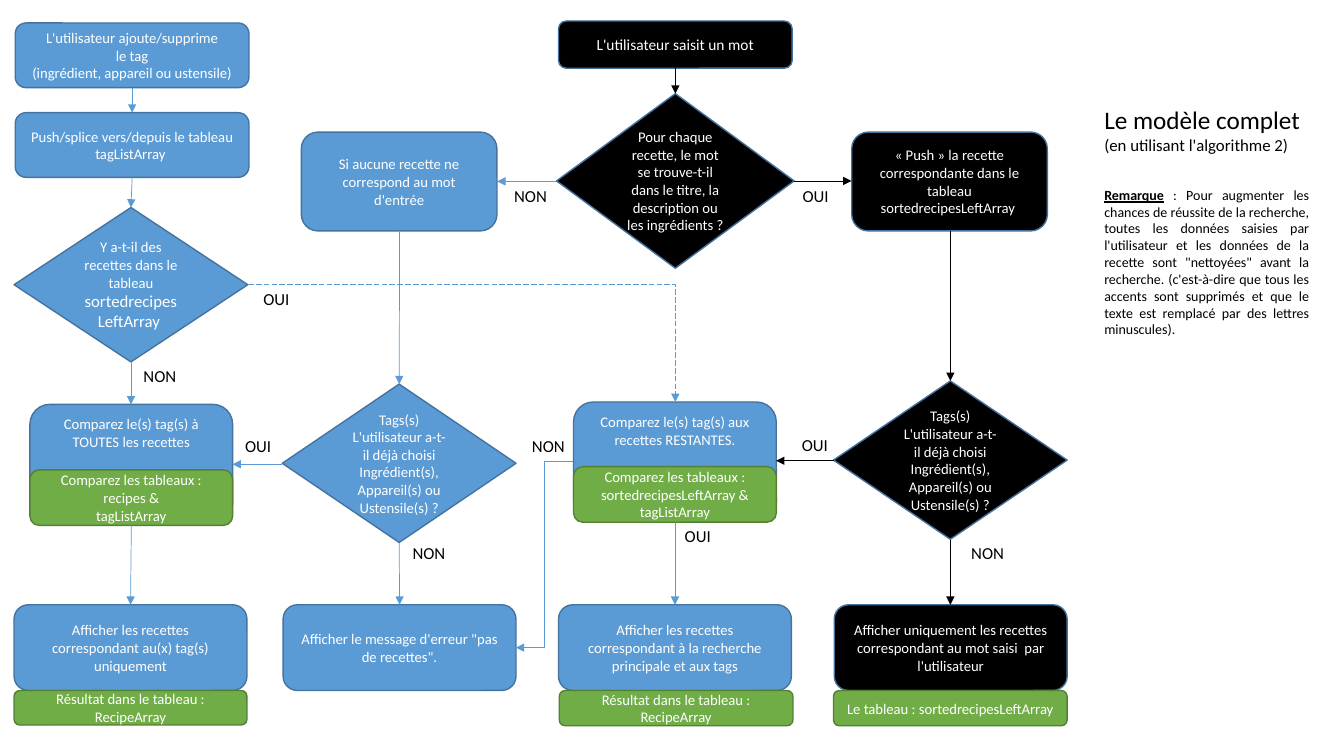
from lxml import etree
from pptx import Presentation
from pptx.dml.color import RGBColor
from pptx.enum.dml import MSO_LINE
from pptx.enum.shapes import MSO_CONNECTOR, MSO_SHAPE
from pptx.enum.text import MSO_ANCHOR, PP_ALIGN
from pptx.oxml.ns import qn
from pptx.util import Cm, Pt

ROUND, DIAMOND = MSO_SHAPE.ROUNDED_RECTANGLE, MSO_SHAPE.DIAMOND
STRAIGHT, ELBOW = MSO_CONNECTOR.STRAIGHT, MSO_CONNECTOR.ELBOW
TOP, MIDDLE = MSO_ANCHOR.TOP, MSO_ANCHOR.MIDDLE
LEFT, CENTER, JUSTIFY = PP_ALIGN.LEFT, PP_ALIGN.CENTER, PP_ALIGN.JUSTIFY
DASH = MSO_LINE.LONG_DASH

COLORS = {
    "black": "000000", "white": "FFFFFF", "blue": "5B9BD5",
    "navy": "43739E", "green": "70AD47", "forest": "538035",
}
BORDERS = {"black": "navy", "blue": "navy", "green": "forest"}


def color(name):
    return RGBColor.from_string(COLORS[name])


def write(box, paragraphs, ink, align=CENTER, anchor=MIDDLE, wrap=True):
    """Fill a box with paragraphs, each a list of (text, font values)."""
    frame = box.text_frame
    frame.word_wrap = wrap
    frame.vertical_anchor = anchor
    for index, spans in enumerate(paragraphs):
        para = frame.paragraphs[0] if index == 0 else frame.add_paragraph()
        para.alignment = align
        for text, values in spans:
            span = para.add_run()
            span.text = text
            span.font.color.rgb = color(ink)
            for name, value in {"name": "Calibri", "size": Pt(10.5), **values}.items():
                setattr(span.font, name, value)


deck = Presentation()
deck.slide_width, deck.slide_height = Cm(33.87), Cm(19.05)
page = deck.slides.add_slide(deck.slide_layouts[6])

# Flowchart nodes: shape, fill, centre x, top, width, height, anchor, paragraphs
tag_question = ["Tags(s)", "L'utilisateur a-t-il déjà choisi",
                "Ingrédient(s), Appareil(s) ou Ustensile(s) ?"]
result_array = ["Résultat dans le tableau : RecipeArray"]
nodes = [
    # Tag column
    (ROUND, "blue", 3.33, 0.58, 5.89, 1.63, MIDDLE,
     ["L'utilisateur ajoute/supprime", "le tag", "(ingrédient, appareil ou ustensile)"]),
    (ROUND, "blue", 3.33, 2.84, 5.89, 1.63, MIDDLE,
     ["Push/splice vers/depuis le tableau tagListArray "]),
    (DIAMOND, "blue", 3.3, 5.23, 5.89, 3.89, MIDDLE,
     [[("Y a-t-il des recettes dans le tableau ", {}),
       ("sortedrecipesLeftArray ", {"size": Pt(12)})]]),
    (ROUND, "blue", 3.31, 10.19, 5.11, 3, TOP,
     ["Comparez le(s) tag(s) à TOUTES les recettes"]),
    (ROUND, "green", 3.31, 11.84, 5.11, 1.4, MIDDLE,
     ["Comparez les tableaux : recipes &", "tagListArray"]),
    (ROUND, "blue", 3.29, 15.24, 5.87, 2.16, MIDDLE,
     ["Afficher les recettes correspondant au(x) tag(s) uniquement"]),
    (ROUND, "green", 3.29, 17.4, 5.87, 0.87, MIDDLE, result_array),
    # No matching recipe column
    (ROUND, "blue", 10.06, 3.33, 4.93, 2.49, MIDDLE,
     ["Si aucune recette ne correspond au mot d'entrée"]),
    (DIAMOND, "blue", 10.06, 9.68, 5.89, 3.99, MIDDLE, tag_question),
    (ROUND, "blue", 10.07, 15.24, 5.87, 2.16, MIDDLE,
     ["Afficher le message d'erreur \"pas de recettes\"."]),
    # Typed word column
    (ROUND, "black", 17.02, 0.53, 5.89, 1.19, MIDDLE,
     [[("L'utilisateur saisit un mot", {"size": Pt(11)})]]),
    (DIAMOND, "black", 17.02, 2.36, 5.99, 4.4, MIDDLE,
     ["Pour chaque recette, le mot se trouve-t-il dans le titre, "
      "la description ou les ingrédients ?"]),
    (ROUND, "blue", 17.01, 10.13, 5.11, 3, TOP,
     ["Comparez le(s) tag(s) aux recettes RESTANTES."]),
    (ROUND, "green", 17.01, 11.76, 5.11, 1.4, MIDDLE,
     ["Comparez les tableaux : sortedrecipesLeftArray &", "tagListArray"]),
    (ROUND, "blue", 17.01, 15.24, 5.87, 2.16, MIDDLE,
     ["Afficher les recettes correspondant à la recherche principale et aux tags"]),
    (ROUND, "green", 17.04, 17.4, 5.89, 0.89, MIDDLE, result_array),
    # Matching recipe column
    (ROUND, "black", 23.93, 3.33, 4.93, 2.49, MIDDLE,
     ["« Push » la recette correspondante dans le tableau sortedrecipesLeftArray "]),
    (DIAMOND, "black", 23.95, 9.6, 5.89, 3.99, MIDDLE, tag_question),
    (ROUND, "black", 23.96, 15.24, 5.87, 2.16, MIDDLE,
     ["Afficher uniquement les recettes correspondant au mot saisi  par l'utilisateur"]),
    (ROUND, "green", 23.95, 17.4, 5.89, 0.89, MIDDLE,
     ["Le tableau : sortedrecipesLeftArray"]),
]
for kind, fill, center, top, width, height, anchor, lines in nodes:
    box = page.shapes.add_shape(kind, Cm(center - width / 2), Cm(top), Cm(width), Cm(height))
    box.shadow.inherit = False
    box.fill.solid()
    box.fill.fore_color.rgb = color(fill)
    box.line.color.rgb = color(BORDERS[fill])
    box.line.width = Pt(1)
    paragraphs = [[(line, {})] if isinstance(line, str) else line for line in lines]
    write(box, paragraphs, "white", anchor=anchor)

# Arrows: connector, colour, start x, start y, end x, end y
arrows = [
    (STRAIGHT, "blue", 3.33, 2.21, 3.33, 2.84),
    (STRAIGHT, "blue", 3.33, 4.46, 3.3, 5.23),
    (STRAIGHT, "blue", 3.3, 9.12, 3.3, 10.19),
    (STRAIGHT, "blue", 3.31, 13.24, 3.29, 15.24),
    (STRAIGHT, "blue", 7.11, 11.7, 5.86, 11.7),
    (STRAIGHT, "blue", 10.07, 5.82, 10.06, 9.68),
    (STRAIGHT, "blue", 10.06, 13.68, 10.07, 15.24),
    (STRAIGHT, "blue", 14.02, 4.57, 12.53, 4.57),
    (STRAIGHT, "blue", 17.01, 13.16, 17.01, 15.24),
    (STRAIGHT, "black", 17.02, 1.71, 17.02, 2.36),
    (STRAIGHT, "black", 20.02, 4.56, 21.46, 4.56),
    (STRAIGHT, "black", 23.95, 5.82, 23.95, 9.6),
    (STRAIGHT, "black", 21.01, 11.61, 19.56, 11.61),
    (STRAIGHT, "black", 23.95, 13.6, 23.95, 15.24),
    (ELBOW, "blue", 14.45, 11.63, 13, 16.32),
]
dashed_arrow = (ELBOW, "blue", 6.25, 7.17, 17.02, 10.13)
for arrow in [*arrows, dashed_arrow]:
    kind, ink, *ends = arrow
    link = page.shapes.add_connector(kind, *map(Cm, ends))
    link.line.color.rgb = color(ink)
    link.line.width = Pt(0.5)
    if arrow is dashed_arrow:
        link.line.dash_style = DASH
        link._element.spPr.find(qn("a:prstGeom")).set("prst", "bentConnector2")
    etree.SubElement(link.line._get_or_add_ln(), qn("a:tailEnd"), type="triangle")
    etree.SubElement(link._element.spPr, qn("a:effectLst"))

# Answers beside the arrows: left, top
answers = {
    "OUI": [(6.38, 7.16), (5.92, 10.85), (17, 13.13), (19.95, 10.82), (19.97, 4.55)],
    "NON": [(3.31, 9.1), (10.09, 13.56), (12.65, 4.55), (13.1, 10.85), (24.17, 13.54)],
}
for answer, places in answers.items():
    width = 1.17 if answer == "OUI" else 1.44
    for left, top in places:
        box = page.shapes.add_textbox(Cm(left), Cm(top), Cm(width), Cm(0.76))
        write(box, [[(answer, {"size": Pt(12)})]], "black", anchor=TOP, wrap=False)

# Title and remark
title = page.shapes.add_textbox(Cm(27.58), Cm(2.51), Cm(6.1), Cm(1.55))
write(title, [[("Le modèle complet", {"size": Pt(18)})],
              [("(en utilisant l'algorithme 2)", {"size": Pt(12)})]],
      "black", LEFT, TOP)

remark = page.shapes.add_textbox(Cm(27.58), Cm(4.57), Cm(5.66), Cm(4.52))
write(remark, [[
    ("Remarque", {"size": Pt(10), "bold": True, "underline": True}),
    (" : Pour augmenter les chances de réussite de la recherche, toutes les données "
     "saisies par l'utilisateur et les données de la recette sont \"nettoyées\" avant "
     "la recherche. (c'est-à-dire que tous les accents sont supprimés et que le texte "
     "est remplacé par des lettres minuscules).", {"size": Pt(10)}),
]], "black", JUSTIFY, TOP)

deck.save("out.pptx")
